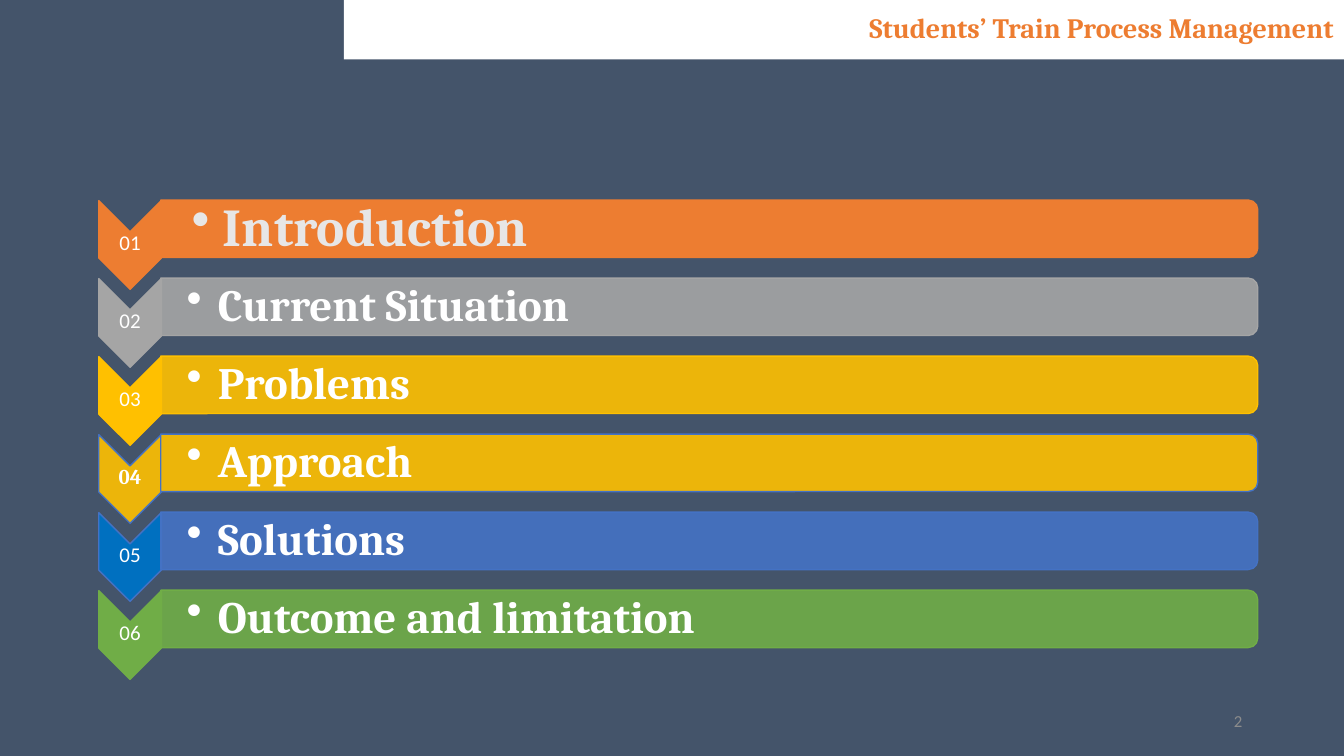
import dataclasses
import typing

import pptx
import pptx.dml.color
import pptx.enum.shapes
import pptx.enum.text
import pptx.oxml
import pptx.oxml.ns
import pptx.util
from lxml import etree

Inches = pptx.util.Inches
Shapes = pptx.enum.shapes.MSO_SHAPE
Align = pptx.enum.text.PP_ALIGN
Box = tuple[float, float, float, float]

COLOURS = {
    "slate": "44546A",
    "white": "FFFFFF",
    "pale": "E7E6E6",
    "orange": "ED7D31",
    "grey": "A5A5A5",
    "gold": "FFC000",
    "blue": "4472C4",
    "bright blue": "0070C0",
    "green": "70AD47",
    "page number": "8C8C8C",
}


@dataclasses.dataclass(frozen=True)
class AgendaItem:
    label: str
    bar: str
    chevron: str
    line: str
    bar_alpha: int = 90
    chevron_alpha: int = 100
    size: int = 32
    colour: str = "white"
    inset: float = 0.25
    number_font: str = "Calibri"
    number_bold: bool = False


AGENDA = [
    AgendaItem("Introduction", "orange", "orange", "orange", bar_alpha=100,
               size=38, colour="pale", inset=0.3),
    AgendaItem("Current Situation", "grey", "grey", "grey"),
    AgendaItem("Problems", "gold", "gold", "gold"),
    AgendaItem("Approach", "gold", "gold", "blue", chevron_alpha=90,
               number_font="Cambria", number_bold=True),
    AgendaItem("Solutions", "blue", "bright blue", "blue"),
    AgendaItem("Outcome and limitation", "green", "green", "green"),
]
ROW_PITCH = 3.87 / (len(AGENDA) - 1)


def rgb(name: str) -> pptx.dml.color.RGBColor:
    return pptx.dml.color.RGBColor.from_string(COLOURS[name])


def write_text(shape: typing.Any, text: str, *, size: float, colour: str,
               font: str = "Calibri", bold: bool = False,
               align: Align = Align.LEFT, spacing: float = 0.9,
               insets: Box = (0.1, 0.05, 0.1, 0.05),
               bullet: bool = False, outline: float = 0) -> None:
    frame = shape.text_frame
    frame.word_wrap = True
    frame.auto_size = pptx.enum.text.MSO_AUTO_SIZE.NONE
    frame.vertical_anchor = pptx.enum.text.MSO_ANCHOR.MIDDLE
    (frame.margin_left, frame.margin_top,
     frame.margin_right, frame.margin_bottom) = map(Inches, insets)
    para = frame.paragraphs[0]
    para.alignment = align
    para.line_spacing = spacing
    if bullet:
        para.level = 1
        properties = para._p.get_or_add_pPr()
        properties.set("marL", str(Inches(0.31)))
        properties.set("indent", str(Inches(-0.31)))
        etree.SubElement(properties, pptx.oxml.ns.qn("a:buChar"), char="•")
    span = para.add_run()
    span.text = text
    span.font.size = pptx.util.Pt(size)
    span.font.name = font
    span.font.bold = bold
    span.font.color.rgb = rgb(colour)
    if outline:
        span._r.get_or_add_rPr().insert(0, pptx.oxml.parse_xml(
            f'<a:ln {pptx.oxml.ns.nsdecls("a")} w="{pptx.util.Pt(outline)}">'
            f'<a:solidFill><a:srgbClr val="{COLOURS[colour]}"/></a:solidFill>'
            '</a:ln>'))


def add_text(page: typing.Any, box: Box, text: str, **style: typing.Any) -> None:
    write_text(page.shapes.add_textbox(*map(Inches, box)), text, **style)


def add_turned_shape(page: typing.Any, kind: Shapes, box: Box, fill: str,
                     line: str, alpha: int) -> None:
    shape = page.shapes.add_shape(kind, *map(Inches, box))
    shape.rotation = 90
    shape.shadow.inherit = False
    shape.fill.solid()
    shape.fill.fore_color.rgb = rgb(fill)
    shape.line.color.rgb = rgb(line)
    shape.line.width = pptx.util.Pt(1)
    if alpha < 100:
        colour = shape._element.spPr.find(
            "/".join(map(pptx.oxml.ns.qn, ("a:solidFill", "a:srgbClr"))))
        etree.SubElement(colour, pptx.oxml.ns.qn("a:alpha"), val=str(alpha * 1000))


def add_agenda_row(page: typing.Any, index: int, item: AgendaItem) -> None:
    shift = index * ROW_PITCH
    # Numbered chevron
    add_turned_shape(page, Shapes.CHEVRON, (0.85, 2.12 + shift, 0.88, 0.62),
                     item.chevron, item.line, item.chevron_alpha)
    add_text(page, (0.98, 2.29 + shift, 0.62, 0.26), f"{index + 1:02d}",
             size=15, colour="white", font=item.number_font,
             bold=item.number_bold, align=Align.CENTER, insets=(0.01,) * 4)
    # Bar with its topic
    add_turned_shape(page, Shapes.ROUND_2_SAME_RECTANGLE,
                     (6.75, -3.17 + shift, 0.57, 10.88),
                     item.bar, item.line, item.bar_alpha)
    add_text(page, (1.6, 2.01 + shift, 10.85, 0.52), item.label,
             size=item.size, colour=item.colour, font="Cambria", bold=True,
             insets=(item.inset, 0.02, 0.02, 0.02), bullet=True)


def main() -> None:
    deck = pptx.Presentation()
    deck.slide_width, deck.slide_height = Inches(13.33), Inches(7.5)
    page = deck.slides.add_slide(deck.slide_layouts.get_by_name("Title Only"))
    page.background.fill.solid()
    page.background.fill.fore_color.rgb = rgb("slate")

    # Title band
    title = page.shapes.title
    title.left, title.top, title.width, title.height = map(
        Inches, (3.41, 0, 9.92, 0.59))
    title.fill.solid()
    title.fill.fore_color.rgb = rgb("white")
    write_text(title, "Students’ Train Process Management", size=20,
               colour="orange", font="Cambria", bold=True, align=Align.RIGHT,
               outline=0.52)

    # Agenda
    for index, item in enumerate(AGENDA):
        add_agenda_row(page, index, item)

    # Page number
    add_text(page, (9.42, 6.95, 3, 0.4), "2", size=12, colour="page number",
             align=Align.RIGHT, spacing=1.0)
    deck.save("out.pptx")


if __name__ == "__main__":
    main()
